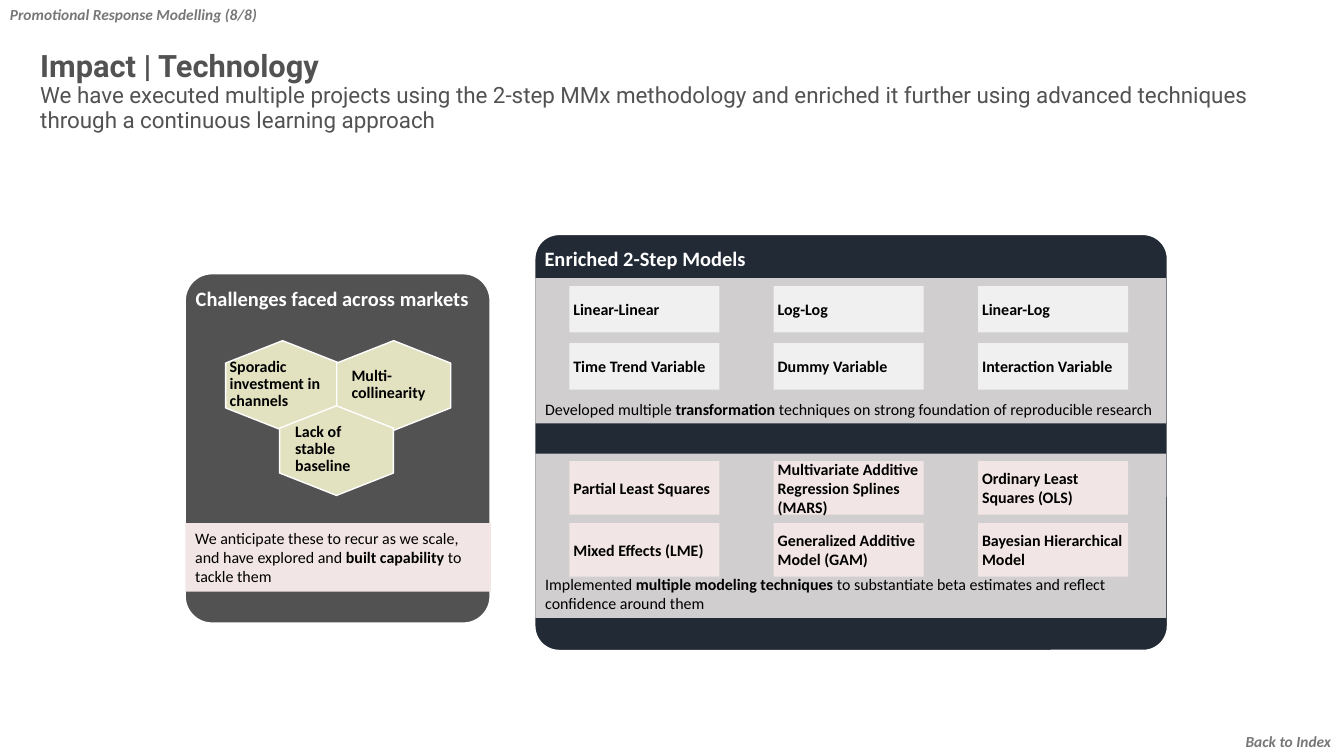
from pptx import Presentation
from pptx.dml.color import RGBColor
from pptx.enum.shapes import MSO_SHAPE
from pptx.enum.text import MSO_ANCHOR, MSO_AUTO_SIZE, PP_ALIGN
from pptx.util import Cm, Pt

RECT = MSO_SHAPE.RECTANGLE
ROUND = MSO_SHAPE.ROUNDED_RECTANGLE
HEX = MSO_SHAPE.HEXAGON
TOP, MIDDLE, BOTTOM = MSO_ANCHOR.TOP, MSO_ANCHOR.MIDDLE, MSO_ANCHOR.BOTTOM
LEFT = PP_ALIGN.LEFT
FIXED = MSO_AUTO_SIZE.NONE

COLORS = {
    "white": "FFFFFF", "black": "000000", "gray": "525252", "navy": "222A35",
    "band": "D0CECE", "cell": "F0F0F0", "pink": "F2E5E5", "olive": "E2E1C0",
    "muted": "777777",
}


def color(name):
    return RGBColor.from_string(COLORS[name])


class Deck:
    font = "Calibri"
    size = 11.4

    def __init__(self):
        self.prs = Presentation()
        self.prs.slide_width = Cm(33.87)
        self.prs.slide_height = Cm(19.05)
        self.slide = self.prs.slides.add_slide(self.prs.slide_layouts[5])

    def style(self, para, size, tint, bold=None, italic=None, face=None):
        para.alignment = LEFT
        font = para.font
        font.name = face or self.font
        font.size = Pt(size)
        font.color.rgb = color(tint)
        font.bold = bold
        font.italic = italic

    def text(self, shape, words, size=None, tint="black", bold=None,
             italic=None, anchor=TOP, inset=(0.25, 0.13), wrap=True, lines=None):
        frame = shape.text_frame
        frame.word_wrap = wrap
        frame.auto_size = FIXED
        frame.vertical_anchor = anchor
        frame.margin_left = frame.margin_right = Cm(inset[0])
        frame.margin_top = frame.margin_bottom = Cm(inset[1])
        para = frame.paragraphs[0]
        self.style(para, size or self.size, tint, bold, italic)
        if lines:
            para.line_spacing = lines
        for i, part in enumerate(words.split("*")):
            run = para.add_run()
            run.text = part
            if i % 2:
                run.font.bold = True

    def shape(self, kind, box, fill, edge=None):
        shape = self.slide.shapes.add_shape(kind, *map(Cm, box))
        shape.shadow.inherit = False
        shape.fill.solid()
        shape.fill.fore_color.rgb = color(fill)
        if edge:
            shape.line.color.rgb = color("white")
            shape.line.width = Pt(edge)
        else:
            shape.line.fill.background()
        return shape

    def title(self, box, head, sub):
        title = self.slide.shapes.title
        title.left, title.top, title.width, title.height = map(Cm, box)
        frame = title.text_frame
        frame.text = f"{head}\n{sub}"
        frame.word_wrap = True
        frame.auto_size = FIXED
        frame.vertical_anchor = MIDDLE
        for para, size, bold in zip(frame.paragraphs, (22, 16), (True, False)):
            self.style(para, size, "gray", bold, face="Roboto")
            para.line_spacing = 0.9

    def panel(self, box, fill, curve, words):
        panel = self.shape(ROUND, box, fill, 2)
        panel.adjustments[0] = curve
        self.text(panel, words, 14.6, "white", True, inset=(0.08, 0.13))

    def band(self, box, fill, words, anchor=TOP):
        self.text(self.shape(RECT, box, fill), words, anchor=anchor)

    def hexagon(self, left, top):
        self.shape(HEX, (left, top, 2.26, 2.87), "olive", 1).rotation = 90

    def label(self, box, words):
        label = self.slide.shapes.add_textbox(*map(Cm, box))
        self.text(label, words, bold=True, anchor=MIDDLE,
                  inset=(0.1, 0.1), lines=0.9)

    def grid(self, top, step, height, fill, rows):
        for r, row in enumerate(rows):
            for c, words in enumerate(row):
                box = (14.35 + c * 5.15, top + r * step, 3.78, height)
                self.text(self.shape(RECT, box, fill), words, bold=True,
                          anchor=MIDDLE, inset=(0.1, 0.1))

    def tag(self, box, words, wrap=True):
        self.text(self.shape(RECT, box, "white"), words, 11, "muted",
                  True, True, wrap=wrap)


def main():
    deck = Deck()
    deck.title(
        (0.76, 0.48, 32.44, 3.68), "Impact | Technology",
        "We have executed multiple projects using the 2-step MMx methodology and "
        "enriched it further using advanced techniques through a continuous "
        "learning approach")

    deck.panel((4.65, 6.88, 7.72, 8.84), "gray", 0.09,
               "Challenges faced across markets")
    for left, top, box, words in (
        (5.99, 8.28, (5.69, 8.94, 2.87, 1.5), "Sporadic investment in channels"),
        (8.79, 8.28, (8.76, 8.94, 2.24, 1.5), "Multi- collinearity"),
        (7.35, 9.92, (7.34, 10.58, 2.24, 1.5), "Lack of stable baseline"),
    ):
        deck.hexagon(left, top)
        deck.label(box, words)
    deck.band((4.67, 13.18, 7.7, 1.73), "pink",
              "We anticipate these to recur as we scale, and have explored and "
              "*built capability* to tackle them")

    deck.panel((13.46, 5.89, 15.98, 10.52), "navy", 0.06, "Enriched 2-Step Models")
    deck.band((13.49, 7.01, 15.9, 3.66), "band",
              "Developed multiple *transformation* techniques on strong foundation "
              "of reproducible research", BOTTOM)
    deck.band((13.49, 11.43, 15.9, 4.14), "band",
              "Implemented *multiple modeling techniques *to substantiate beta "
              "estimates and reflect confidence around them", BOTTOM)
    deck.grid(7.21, 1.44, 1.17, "cell", (
        ("Linear-Linear", "Log-Log", "Linear-Log"),
        ("Time Trend Variable", "Dummy Variable", "Interaction Variable"),
    ))
    deck.grid(11.62, 1.56, 1.35, "pink", (
        ("Partial Least Squares", "Multivariate Additive Regression Splines (MARS)",
         "Ordinary Least Squares (OLS)"),
        ("Mixed Effects (LME)", "Generalized Additive Model (GAM)",
         "Bayesian Hierarchical Model"),
    ))

    deck.tag((0, 0, 6.78, 0.74), "Promotional Response Modelling (8/8)", False)
    deck.tag((31.14, 18.31, 2.73, 0.74), "Back to Index")
    deck.prs.save("out.pptx")


if __name__ == "__main__":
    main()
